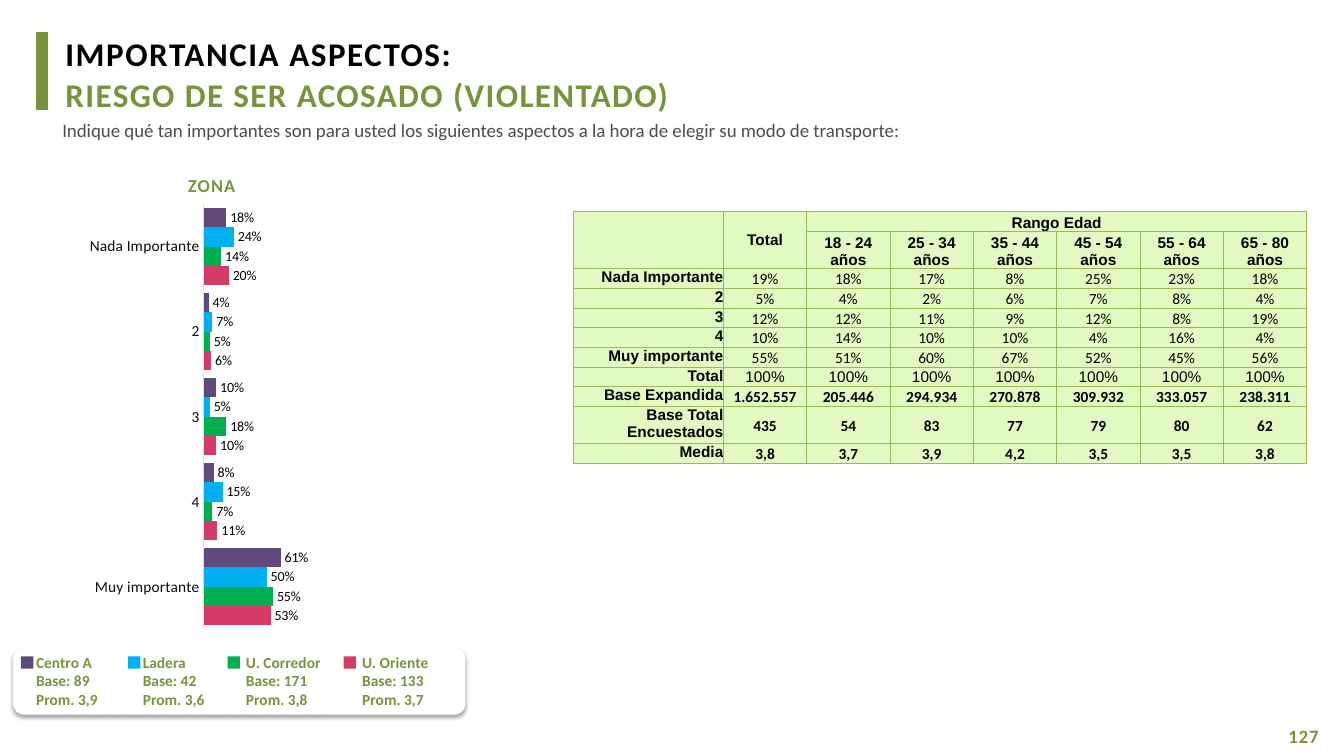
"""Build the slide on the importance of harassment risk when choosing transport."""
import pptx
import pptx.chart.data
import pptx.dml.color
import pptx.enum.chart
import pptx.enum.shapes
import pptx.enum.text
import pptx.oxml
import pptx.oxml.ns
import pptx.util

Cm = pptx.util.Cm
Pt = pptx.util.Pt
RGBColor = pptx.dml.color.RGBColor
ALIGN = pptx.enum.text.PP_ALIGN
ANCHOR = pptx.enum.text.MSO_ANCHOR
SHAPE = pptx.enum.shapes.MSO_SHAPE

GREEN = RGBColor(0x77, 0x93, 0x3C)
BLACK = RGBColor(0, 0, 0)
WHITE = RGBColor(0xFF, 0xFF, 0xFF)
GREY = RGBColor(0x4D, 0x4D, 0x4D)
AXIS_TEXT = RGBColor(0x0D, 0x0D, 0x0D)
AXIS_LINE = RGBColor(0xD9, 0xD9, 0xD9)
CELL_FILL = RGBColor(0xE2, 0xFA, 0xC2)
PURPLE = RGBColor(0x60, 0x4A, 0x7B)
BLUE = RGBColor(0x00, 0xB0, 0xF0)
EMERALD = RGBColor(0x00, 0xB0, 0x50)
PINK = RGBColor(0xD5, 0x3B, 0x67)
DRAWING = 'xmlns:a="http://schemas.openxmlformats.org/drawingml/2006/main"'


def add_span(para, text, size, color, bold=True, spacing=0, font="Calibri"):
    span = para.add_run()
    span.text = text
    span.font.size = Pt(size)
    span.font.name = font
    span.font.bold = bold
    span.font.color.rgb = color
    if spacing:
        span.font._element.set("spc", str(spacing))


def add_box(shapes, left, top, width, height, lines, align=ALIGN.LEFT, tight=True):
    box = shapes.add_textbox(Cm(left), Cm(top), Cm(width), Cm(height))
    frame = box.text_frame
    frame.word_wrap = tight
    if tight:
        frame.margin_left = frame.margin_right = frame.margin_bottom = 0
        frame.margin_top = Cm(0.03)
    for index, line in enumerate(lines):
        para = frame.add_paragraph() if index else frame.paragraphs[0]
        para.alignment = align
        if index and tight:
            para.space_before = Pt(0.7)
        add_span(para, *line)


deck = pptx.Presentation()
deck.slide_width = Cm(33.87)
deck.slide_height = Cm(19.05)
page = deck.slides.add_slide(deck.slide_layouts[6])

bar = page.shapes.add_shape(SHAPE.RECTANGLE, Cm(0.93), Cm(0.82), Cm(0.27), Cm(1.93))
bar.shadow.inherit = False
bar.fill.solid()
bar.fill.fore_color.rgb = GREEN
bar.line.color.rgb = GREEN
bar.line.width = Pt(0.75)

add_box(page.shapes, 32.23, 18.24, 1.24, 0.61, [("127", 13.5, GREEN, True, 60)], ALIGN.CENTER)
add_box(page.shapes, 2.34, 4.36, 5.99, 0.58, [("ZONA", 13, GREEN, True, 80)], ALIGN.CENTER)
add_box(page.shapes, 1.57, 2.95, 26.8, 0.61, [(
    "Indique qué tan importantes son para usted los siguientes aspectos "
    "a la hora de elegir su modo de transporte:", 13.5, GREY, False)])
add_box(page.shapes, 1.65, 0.82, 27.33, 2.08, [
    ("IMPORTANCIA ASPECTOS:", 23.6, BLACK, True, 110),
    ("RIESGO DE SER ACOSADO (VIOLENTADO)", 23.6, GREEN, True, 100)])

zones = [
    ("Centro A", "89", "3,9", PURPLE, 0.53, 0.66, 2.08, (0.18, 0.04, 0.10, 0.08, 0.61)),
    ("Ladera", "42", "3,6", BLUE, 3.23, 3.35, 2.08, (0.24, 0.07, 0.05, 0.15, 0.50)),
    ("U. Corredor", "171", "3,8", EMERALD, 5.74, 5.95, 2.41, (0.14, 0.05, 0.18, 0.07, 0.55)),
    ("U. Oriente", "133", "3,7", PINK, 8.66, 8.88, 2.21, (0.20, 0.06, 0.10, 0.11, 0.53)),
]

legend = page.shapes.add_group_shape().shapes
panel = legend.add_shape(SHAPE.ROUNDED_RECTANGLE, Cm(0.33), Cm(16.33), Cm(11.4), Cm(1.68))
panel.fill.solid()
panel.fill.fore_color.rgb = WHITE
panel.line.fill.background()
panel._element.spPr.append(pptx.oxml.parse_xml(
    f'<a:effectLst {DRAWING}><a:outerShdw blurRad="39370" dist="22860" dir="5400000" '
    'rotWithShape="0"><a:srgbClr val="000000"><a:alpha val="35000"/></a:srgbClr>'
    '</a:outerShdw></a:effectLst>'))
for name, base, mean, color, key_left, text_left, text_width, shares in zones:
    key = legend.add_shape(SHAPE.RECTANGLE, Cm(key_left), Cm(16.54), Cm(0.31), Cm(0.31))
    key.shadow.inherit = False
    key.fill.solid()
    key.fill.fore_color.rgb = color
    key.line.fill.background()
    lines = [(text, 11, GREEN) for text in (name, f"Base: {base}", f"Prom. {mean}")]
    add_box(legend, text_left, 16.33, text_width, 1.68, lines, tight=False)

data = pptx.chart.data.CategoryChartData(number_format="###0%")
data.categories = ["Nada Importante", "2", "3", "4", "Muy importante"]
for zone in zones:
    data.add_series(zone[0], zone[-1])
chart = page.shapes.add_chart(
    pptx.enum.chart.XL_CHART_TYPE.BAR_CLUSTERED,
    Cm(-0.08), Cm(4.72), Cm(8.56), Cm(11.51), data).chart
chart.has_legend = False
chart.has_title = False
chart.font.size = Pt(10)
chart.font.name = "Calibri"
chart.font.color.rgb = BLACK

category_axis = chart.category_axis
category_axis.reverse_order = True
category_axis.major_tick_mark = pptx.enum.chart.XL_TICK_MARK.NONE
category_axis.format.line.color.rgb = AXIS_LINE
category_axis.format.line.width = Pt(0.75)
category_axis.tick_labels.font.size = Pt(11)
category_axis.tick_labels.font.name = "Calibri"
category_axis.tick_labels.font.color.rgb = AXIS_TEXT
value_axis = chart.value_axis
value_axis.minimum_scale = 0
value_axis.maximum_scale = 1
value_axis.has_major_gridlines = False
value_axis.visible = False

plot = chart.plots[0]
plot.gap_width = 40
plot.overlap = 0
plot.vary_by_categories = False
for series, zone in zip(plot.series, zones):
    series.format.fill.solid()
    series.format.fill.fore_color.rgb = zone[3]
    labels = series.data_labels
    labels.show_value = True
    labels.position = pptx.enum.chart.XL_LABEL_POSITION.OUTSIDE_END
    labels.number_format = "###0%"
    labels.number_format_is_linked = False
    labels.font.size = Pt(10)
    labels.font.name = "Calibri"
    labels.font.color.rgb = BLACK

plot_area = chart._chartSpace.chart.plotArea
for old_layout in plot_area.findall(pptx.oxml.ns.qn("c:layout")):
    plot_area.remove(old_layout)
plot_area.insert(0, pptx.oxml.parse_xml(
    '<c:layout xmlns:c="http://schemas.openxmlformats.org/drawingml/2006/chart"><c:manualLayout>'
    '<c:layoutTarget val="inner"/><c:xMode val="edge"/><c:yMode val="edge"/><c:x val="0.609"/>'
    '<c:y val="0.037"/><c:w val="0.372"/><c:h val="0.931"/></c:manualLayout></c:layout>'))

ages = ["18 - 24", "25 - 34", "35 - 44", "45 - 54", "55 - 64", "65 - 80"]
rows = [
    ["", "Total", "Rango Edad"] + [""] * 5,
    ["", ""] + [f"{age} años" for age in ages],
    ["Nada Importante", "19%", "18%", "17%", "8%", "25%", "23%", "18%"],
    ["2", "5%", "4%", "2%", "6%", "7%", "8%", "4%"],
    ["3", "12%", "12%", "11%", "9%", "12%", "8%", "19%"],
    ["4", "10%", "14%", "10%", "10%", "4%", "16%", "4%"],
    ["Muy importante", "55%", "51%", "60%", "67%", "52%", "45%", "56%"],
    ["Total"] + ["100%"] * 7,
    ["Base Expandida", "1.652.557", "205.446", "294.934", "270.878", "309.932", "333.057", "238.311"],
    ["Base Total Encuestados", "435", "54", "83", "77", "79", "80", "62"],
    ["Media", "3,8", "3,7", "3,9", "4,2", "3,5", "3,5", "3,8"],
]
TOTAL_ROW = 7
table = page.shapes.add_table(len(rows), 8, Cm(14.45), Cm(5.34), Cm(18.48), Cm(6.29)).table
for index, column in enumerate(table.columns):
    column.width = Cm(2.1 if index else 3.78)
for index, row in enumerate(table.rows):
    row.height = Cm(0.94 if index in (1, 9) else 0.49)

for row_index, row in enumerate(rows):
    for column_index, text in enumerate(row):
        cell = table.cell(row_index, column_index)
        header = row_index < 2
        label = column_index == 0
        padded = not (header or label or row_index == TOTAL_ROW)
        cell.margin_left = cell.margin_right = cell.margin_top = Cm(0.03 if padded else 0)
        cell.margin_bottom = 0
        cell.vertical_anchor = ANCHOR.TOP if label else ANCHOR.MIDDLE
        if header and column_index > 1:
            cell.vertical_anchor = ANCHOR.BOTTOM
        for side in ("lnL", "lnR", "lnT", "lnB"):
            cell._tc.get_or_add_tcPr().append(pptx.oxml.parse_xml(
                f'<a:{side} {DRAWING} w="9525"><a:solidFill><a:srgbClr val="98B955"/>'
                f'</a:solidFill></a:{side}>'))
        cell.fill.solid()
        cell.fill.fore_color.rgb = CELL_FILL
        para = cell.text_frame.paragraphs[0]
        para.alignment = ALIGN.RIGHT if label else ALIGN.CENTER
        para.font.size = Pt(11)
        if text:
            bold = header or label or row_index > TOTAL_ROW
            add_span(para, text, 11, BLACK, bold, font="Calibri" if padded else "Arial")
table.cell(0, 0).merge(table.cell(1, 0))
table.cell(0, 1).merge(table.cell(1, 1))
table.cell(0, 2).merge(table.cell(0, 7))

deck.save("out.pptx")
